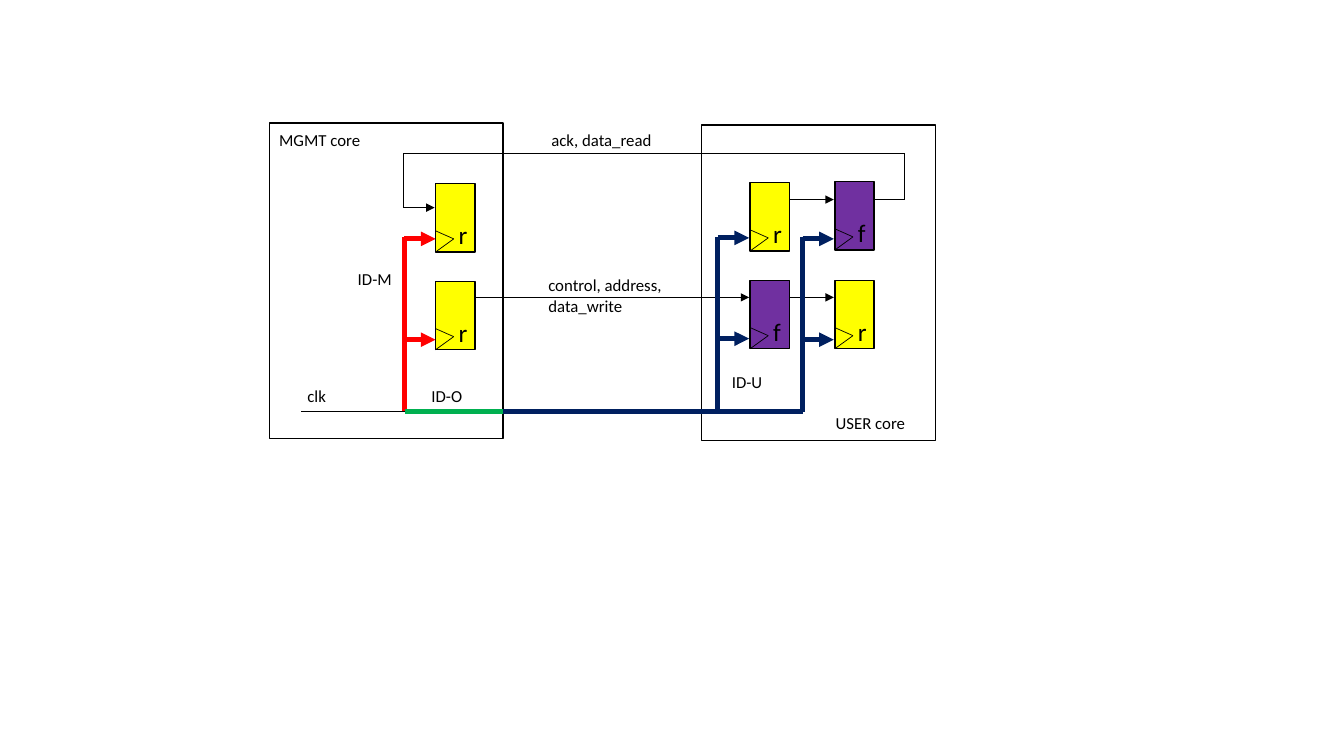
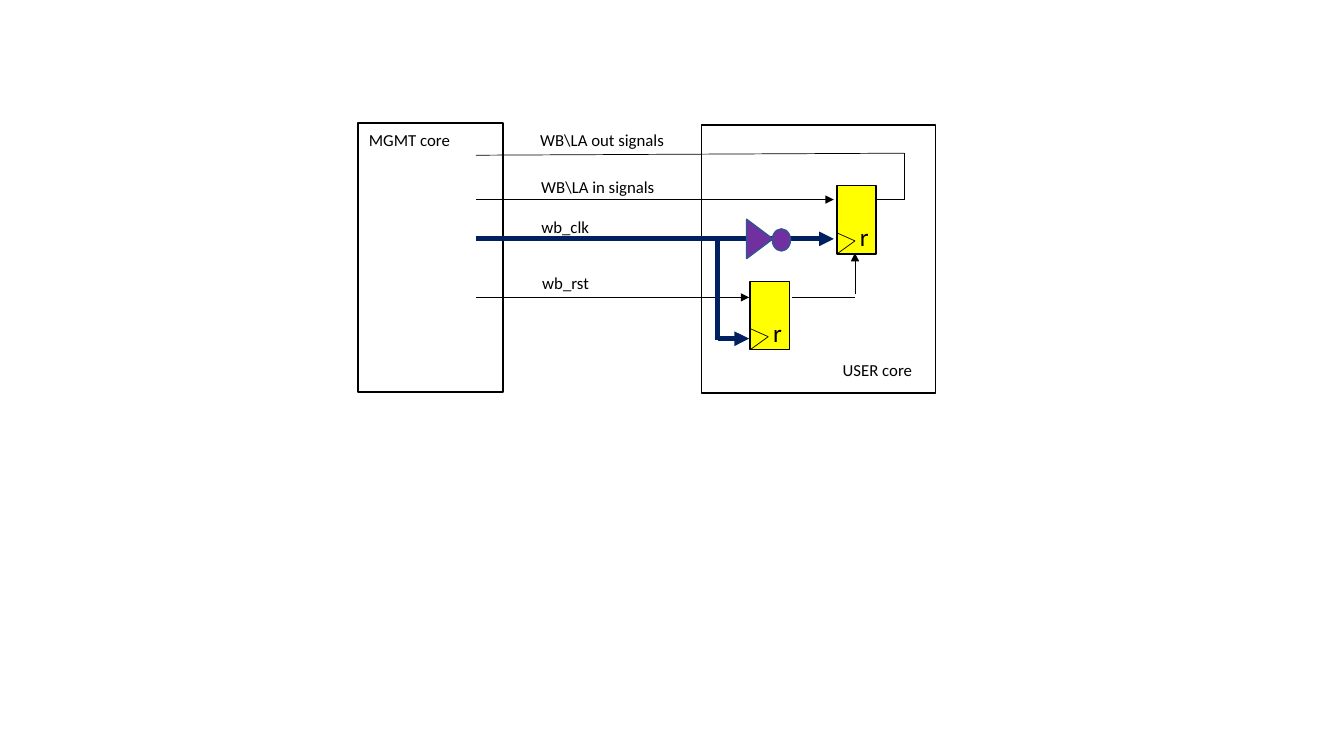
from dataclasses import dataclass
from itertools import pairwise
from typing import Any

from lxml.etree import SubElement
from pptx import Presentation
from pptx.dml.color import RGBColor
from pptx.enum.shapes import MSO_CONNECTOR, MSO_SHAPE
from pptx.enum.text import MSO_AUTO_SIZE
from pptx.oxml.ns import qn
from pptx.slide import Slide
from pptx.util import Inches, Pt

BLACK = RGBColor(0x00, 0x00, 0x00)
YELLOW = RGBColor(0xFF, 0xFF, 0x00)
PURPLE = RGBColor(0x70, 0x30, 0xA0)
RED = RGBColor(0xFF, 0x00, 0x00)
NAVY = RGBColor(0x00, 0x20, 0x60)
GREEN = RGBColor(0x00, 0xB0, 0x50)
STEEL = RGBColor(0x32, 0x54, 0x91)

FONT = "Calibri"
LABEL_PT, FLOP_PT = 12, 18
SIGNAL_PT, CLOCK_PT = 0.5, 3.5
FLOP_W, FLOP_H = 0.39, 0.68
BRANCH_W, TREE_TOP = 0.31, 2.35
FRAME_W = 2.32
LABEL_H = 0.3

Point = tuple[float, float]
Box = tuple[float, float, float, float]


@dataclass(frozen=True)
class Wire:
    """A run of straight segments, with an optional arrowhead at its end."""
    points: tuple[Point, ...]
    arrow: bool = True
    color: RGBColor = BLACK
    width: float = SIGNAL_PT


@dataclass(frozen=True)
class Flop:
    """A flip-flop: rising edge (r) is yellow, falling edge (f) is purple."""
    x: float
    y: float
    edge: str = "r"


@dataclass(frozen=True)
class Label:
    """Text in a box that fits it, one paragraph for each line."""
    text: str
    x: float
    y: float
    w: float
    h: float = LABEL_H
    size: float = LABEL_PT


@dataclass(frozen=True)
class Diagram:
    """All the parts of one slide."""
    frames: tuple[Box, ...]
    wires: tuple[Wire, ...]
    flops: tuple[Flop, ...]
    labels: tuple[Label, ...]


def set_attrs(obj: Any, formats: dict[str, Any]) -> None:
    """Set each named attribute on an object."""
    for name, value in formats.items():
        setattr(obj, name, value)


def add_block(slide: Slide, kind: MSO_SHAPE, box: Box,
              fill: RGBColor | None = None, line: RGBColor = BLACK,
              rotation: float = 0) -> None:
    """Draw a preset shape, unfilled unless a fill is given."""
    sp = slide.shapes.add_shape(kind, *map(Inches, box))
    sp.shadow.inherit = False
    sp.rotation = rotation
    if fill is None:
        sp.fill.background()
    else:
        sp.fill.solid()
        sp.fill.fore_color.rgb = fill
    sp.line.color.rgb = line
    sp.line.width = Pt(1)


def add_wire(slide: Slide, wire: Wire) -> None:
    """Draw a wire as connectors, the last one with the arrowhead."""
    for start, end in pairwise(wire.points):
        cxn = slide.shapes.add_connector(
            MSO_CONNECTOR.STRAIGHT, *map(Inches, start + end))
        cxn.line.color.rgb = wire.color
        cxn.line.width = Pt(wire.width)
        if wire.arrow and end == wire.points[-1]:
            SubElement(cxn.line._get_or_add_ln(), qn("a:tailEnd"), type="triangle")
        SubElement(cxn._element.spPr, qn("a:effectLst"))


def add_label(slide: Slide, label: Label) -> None:
    """Write a label."""
    sp = slide.shapes.add_textbox(
        *map(Inches, (label.x, label.y, label.w, label.h)))
    tf = sp.text_frame
    set_attrs(tf, {"word_wrap": False,
                   "auto_size": MSO_AUTO_SIZE.SHAPE_TO_FIT_TEXT})
    tf.text = label.text
    for p in tf.paragraphs:
        for r in p.runs:
            set_attrs(r.font, {"name": FONT, "size": Pt(label.size)})
            r.font.color.rgb = BLACK


def add_flop(slide: Slide, flop: Flop) -> None:
    """Draw a flip-flop with its clock notch and edge letter."""
    x, y = flop.x, flop.y
    fill = YELLOW if flop.edge == "r" else PURPLE
    add_block(slide, MSO_SHAPE.RECTANGLE, (x, y, FLOP_W, FLOP_H), fill)
    notch = ((x, y + FLOP_H), (x + 0.18, y + 0.55), (x, y + 0.47))
    add_wire(slide, Wire(notch, arrow=False))
    add_label(slide, Label(flop.edge, x + 0.13, y + 0.31, 0.29, 0.4, FLOP_PT))


def add_inverter(slide: Slide) -> None:
    """Draw the clock inverter: a triangle and its bubble."""
    add_block(slide, MSO_SHAPE.ISOSCELES_TRIANGLE, (7.34, 2.24, 0.39, 0.26),
              PURPLE, STEEL, rotation=90)
    add_block(slide, MSO_SHAPE.OVAL, (7.66, 2.27, 0.18, 0.22), PURPLE, STEEL)


def clock_tree(x: float, bottom: float, taps: tuple[float, ...],
               color: RGBColor = NAVY) -> tuple[Wire, ...]:
    """Return a vertical clock trunk and its arrowed branches."""
    trunk = Wire(((x, bottom), (x, TREE_TOP)), False, color, CLOCK_PT)
    branches = (Wire(((x, y), (x + BRANCH_W, y)), True, color, CLOCK_PT)
                for y in taps)
    return (trunk, *branches)


def add_diagram(prs: Presentation, diagram: Diagram) -> Slide:
    """Add a blank slide and draw a diagram on it."""
    slide = prs.slides.add_slide(prs.slide_layouts[6])
    for frame in diagram.frames:
        add_block(slide, MSO_SHAPE.RECTANGLE, frame)
    for wire in diagram.wires:
        add_wire(slide, wire)
    for flop in diagram.flops:
        add_flop(slide, flop)
    for label in diagram.labels:
        add_label(slide, label)
    return slide


RESET_OR_WRITE = Wire(((4.72, 2.95), (7.43, 2.95)))

CLOCK_DOMAINS = Diagram(
    frames=((6.96, 1.24, FRAME_W, 3.13), (2.67, 1.22, FRAME_W, 3.13)),
    wires=(
        RESET_OR_WRITE,
        Wire(((8.68, 1.98), (8.97, 1.98), (8.97, 1.52),
              (4, 1.52), (4, 2.06), (4.31, 2.06))),
        Wire(((7.83, 1.98), (8.27, 1.98))),
        Wire(((7.84, 2.95), (8.27, 2.95))),
        Wire(((2.99, 4.08), (4.02, 4.08)), arrow=False),
        *clock_tree(4.01, 4.08, (2.37, 3.37), RED),
        *clock_tree(7.12, 4.08, (2.36, 3.36)),
        Wire(((4.99, 4.08), (7.96, 4.08)), False, NAVY, CLOCK_PT),
        Wire(((4.02, 4.08), (4.99, 4.08)), False, GREEN, CLOCK_PT),
        *clock_tree(7.96, 4.09, (2.37, 3.37)),
    ),
    flops=(Flop(7.44, 2.78, "f"), Flop(8.28, 1.8, "f"), Flop(4.32, 1.82),
           Flop(4.32, 2.79), Flop(7.44, 1.81), Flop(8.28, 2.78)),
    labels=(
        Label("ack, data_read", 5.37, 1.24, 1.21),
        Label("control, address,\ndata_write", 5.34, 2.68, 1.34, 0.5),
        Label("clk", 2.95, 3.78, 0.39),
        Label("USER core", 8.19, 4.05, 0.9),
        Label("MGMT core", 2.67, 1.24, 1.02),
        Label("ID-M", 3.45, 2.62, 0.54),
        Label("ID-U", 7.16, 3.64, 0.51),
        Label("ID-O", 4.18, 3.78, 0.51),
    ),
)

USER_INTERFACE = Diagram(
    frames=((6.96, 1.24, FRAME_W, 2.66), (3.55, 1.22, 1.44, 2.67)),
    wires=(
        RESET_OR_WRITE,
        Wire(((8.68, 1.98), (8.97, 1.98), (8.97, 1.52), (4.72, 1.54)), arrow=False),
        *clock_tree(7.12, 3.37, (3.36,)),
        Wire(((4.72, 2.37), (8.27, 2.37)), True, NAVY, CLOCK_PT),
        Wire(((4.72, 1.98), (8.27, 1.98))),
        Wire(((7.86, 2.95), (8.48, 2.95)), arrow=False),
        Wire(((8.48, 2.92), (8.48, 2.51))),
    ),
    flops=(Flop(7.44, 2.79), Flop(8.3, 1.84)),
    labels=(
        Label("WB\\LA out signals", 5.26, 1.24, 1.44),
        Label("WB\\LA in signals", 5.27, 1.7, 1.34),
        Label("wb_clk", 5.27, 2.1, 0.68),
        Label("wb_rst", 5.28, 2.66, 0.67),
        Label("USER core", 8.26, 3.52, 0.9),
        Label("MGMT core", 3.56, 1.24, 1.02),
    ),
)


def main() -> None:
    """Build and save the presentation."""
    prs = Presentation()
    set_attrs(prs, {"slide_width": Inches(13.33), "slide_height": Inches(7.5)})
    add_diagram(prs, CLOCK_DOMAINS)
    add_inverter(add_diagram(prs, USER_INTERFACE))
    prs.save("out.pptx")


main()
